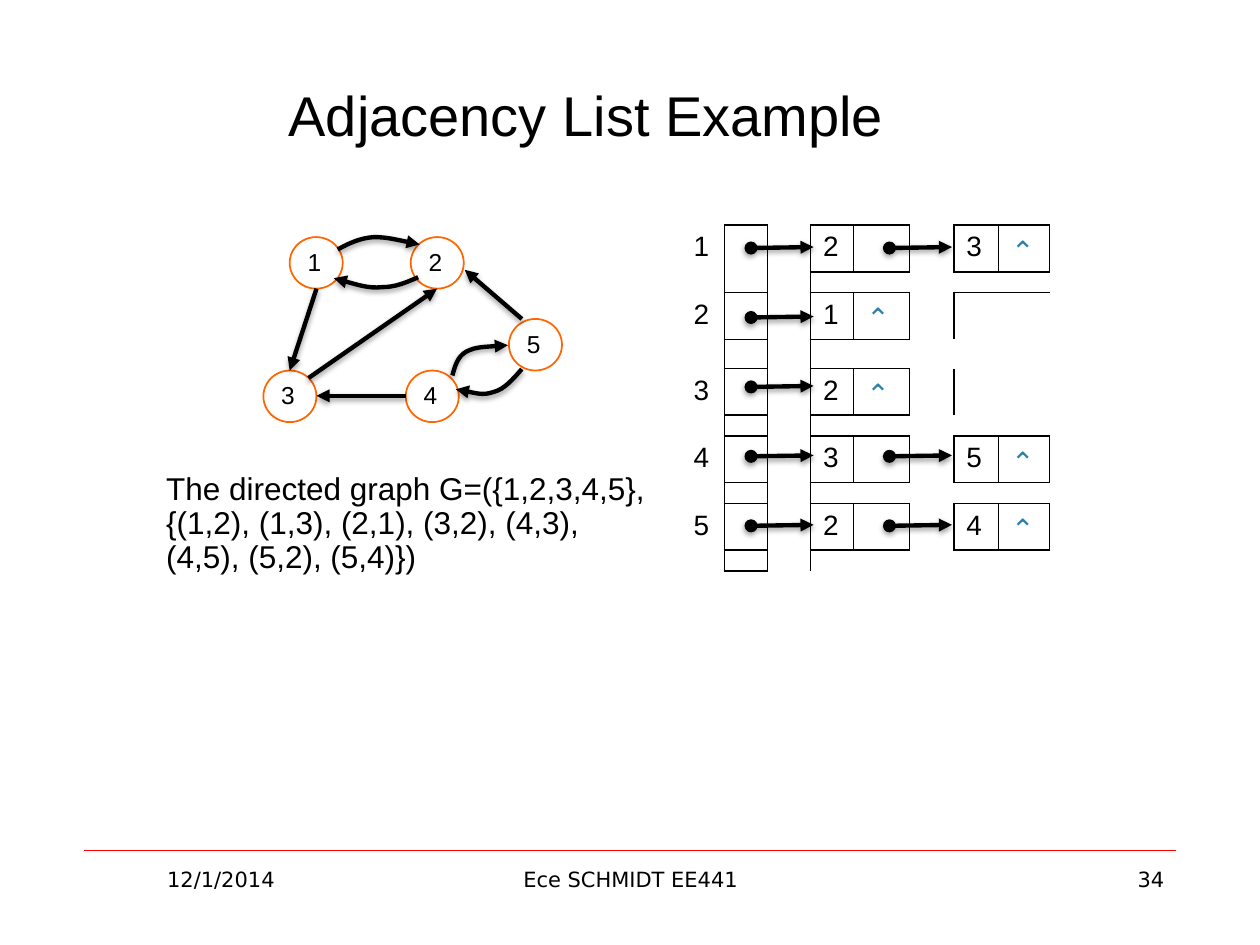
from lxml import etree
from pptx import Presentation
from pptx import util as u
from pptx.dml.color import RGBColor
from pptx.enum import shapes, text
from pptx.oxml import ns, parse_xml

BLACK, WHITE, ORANGE, RED, BLUE = "000000", "FFFFFF", "FF6600", "FF0000", "2C80AB"
NO_TABLE_STYLE = "{2D5ABB26-0587-4C30-8999-92F81FD0307C}"
ADJACENCY = {"1": "23", "2": "1", "3": "2", "4": "35", "5": "24"}
OPPOSITE = {"L": (0, -1, "R"), "R": (0, 1, "L"), "T": (-1, 0, "B"), "B": (1, 0, "T")}


def color(value):
    return RGBColor.from_string(value)


def cm(values):
    return [u.Cm(value) for value in values]


class Sketch:
    def __init__(self, page, font="Arial"):
        self.page, self.font = page, font

    def style(self, para, size, font=None, ink=BLACK):
        para.font.name, para.font.size = font or self.font, u.Pt(size)
        para.font.color.rgb = color(ink)

    def textbox(self, words, area, size, font=None, align="LEFT", anchor="TOP",
                spacing=None, inset=True):
        frame = self.page.shapes.add_textbox(*cm(area)).text_frame
        frame.word_wrap = True
        frame.vertical_anchor = text.MSO_ANCHOR[anchor]
        if not inset:
            frame.margin_left = frame.margin_right = 0
            frame.margin_top = frame.margin_bottom = 0
        para = frame.paragraphs[0]
        para.text, para.alignment = words, text.PP_ALIGN[align]
        para.line_spacing = spacing
        self.style(para, size, font)

    def node(self, label, left, top):
        disc = self.page.shapes.add_shape(
            shapes.MSO_SHAPE.OVAL, *cm((left, top, 1.07, 1.04)))
        disc.shadow.inherit = False
        disc.fill.solid()
        disc.fill.fore_color.rgb = color(WHITE)
        disc.line.color.rgb, disc.line.width = color(ORANGE), u.Pt(1)
        self.textbox(label, (left + 0.36, top + 0.2, 0.53, 0.61), 14, inset=False)

    def rule(self, start, end, ink, width):
        line = self.page.shapes.add_connector(
            shapes.MSO_CONNECTOR.STRAIGHT, *cm((*start, *end)))
        line.line.color.rgb, line.line.width = color(ink), u.Pt(width)
        etree.SubElement(line._element.spPr, ns.qn("a:effectLst"))
        return line

    def finish_arrow(self, shape, head=None):
        """Add the arrowheads and the soft shadow below."""
        shape.line.color.rgb, shape.line.width = color(BLACK), u.Pt(2.5)
        properties = shape._element.spPr
        outline = properties.find(ns.qn("a:ln"))
        if head:
            etree.SubElement(outline, ns.qn("a:headEnd"), type=head)
        etree.SubElement(outline, ns.qn("a:tailEnd"), type="triangle")
        properties.find(ns.qn("a:effectLst")).append(parse_xml(
            f'<a:outerShdw {ns.nsdecls("a")} blurRad="40000" dist="20000" dir="5400000" '
            'rotWithShape="0"><a:srgbClr val="000000"><a:alpha val="38000"/>'
            '</a:srgbClr></a:outerShdw>'))

    def arrow(self, start, end, head=None):
        self.finish_arrow(self.rule(start, end, BLACK, 2.5), head)

    def curved_arrow(self, start, *points):
        """Draw Bézier segments; each takes two control points and an end."""
        builder = self.page.shapes.build_freeform(*cm(start))
        builder.add_line_segments([cm(point) for point in points], close=False)
        shape = builder.convert_to_shape()
        shape.fill.background()
        shape.shadow.inherit = False
        steps = list(shape._element.iter(ns.qn("a:lnTo")))
        for first in range(0, len(steps), 3):
            bend = etree.Element(ns.qn("a:cubicBezTo"))
            steps[first].addprevious(bend)
            for step in steps[first:first + 3]:
                bend.append(step[0])
                step.getparent().remove(step)
        self.finish_arrow(shape)

    def table(self, left, top, widths, heights, labels, sides):
        frame = self.page.shapes.add_table(
            len(heights), len(widths), *cm((left, top, sum(widths), sum(heights))))
        grid = frame.table
        grid.first_row = grid.horz_banding = False
        grid._tbl.tblPr.find(ns.qn("a:tableStyleId")).text = NO_TABLE_STYLE
        for column, width in zip(grid.columns, widths):
            column.width = u.Cm(width)
        for row, height in enumerate(heights):
            grid.rows[row].height = u.Cm(height)
            for column in range(len(widths)):
                self.cell(grid.cell(row, column), (row, column), labels, sides)

    def cell(self, cell, place, labels, sides):
        row, column = place
        properties = cell._tc.get_or_add_tcPr()
        for side, (down, across, other) in OPPOSITE.items():
            neighbour = sides.get((row + down, column + across), "")
            if side in sides.get(place, "") or other in neighbour:
                properties.append(parse_xml(
                    f'<a:ln{side} {ns.nsdecls("a")} w="12700"><a:solidFill>'
                    f'<a:srgbClr val="{BLACK}"/></a:solidFill></a:ln{side}>'))
        if place in sides:
            cell.fill.solid()
            cell.fill.fore_color.rgb = color(WHITE)
        else:
            cell.fill.background()
        para = cell.text_frame.paragraphs[0]
        if place in labels:
            para.text = labels[place]
            if para.text == "⌃":
                self.style(para, 16, "Open Sans", BLUE)
            else:
                self.style(para, 16)
        else:
            cell.margin_top = cell.margin_bottom = 0
            para._p.get_or_add_endParaRPr().set("sz", "400")


def draw_graph(sketch):
    places = [(5.84, 4.78), (8.28, 4.78), (5.31, 7.47), (8.18, 7.47), (10.26, 6.43)]
    for label, place in zip(ADJACENCY, places):
        sketch.node(label, *place)
    curves = [
        [(6.81, 5.03), (7.04, 4.9), (7.26, 4.8), (7.54, 4.78),
         (7.8, 4.78), (8.46, 4.93), (8.46, 4.93)],
        [(8.43, 5.59), (8.2, 5.69), (7.98, 5.79), (7.7, 5.79),
         (7.42, 5.82), (6.73, 5.61), (6.73, 5.61)],
        [(9.12, 7.57), (9.17, 7.39), (9.22, 7.19), (9.4, 7.09),
         (9.58, 6.99), (10.24, 6.96), (10.24, 6.96)],
        [(10.52, 7.44), (10.34, 7.65), (10.16, 7.85), (9.96, 7.9),
         (9.73, 7.98), (9.19, 7.85), (9.19, 7.85)],
    ]
    for curve in curves:
        sketch.curved_arrow(*curve)
    for start, end in [((6.38, 5.82), (5.84, 7.47)), ((10.52, 6.43), (9.37, 5.44)),
                       ((6.22, 7.62), (8.81, 5.82)), ((8.18, 7.98), (6.38, 7.98))]:
        sketch.arrow(start, end)


def draw_lists(sketch):
    labels, sides, links = {}, {}, []
    for index, (vertex, neighbours) in enumerate(ADJACENCY.items()):
        row, y = 2 * index, 5 + 1.4 * index
        labels[row, 0] = vertex
        sides[row, 1], sides[row + 1, 1] = "LTR", "LRB"
        for order, neighbour in enumerate(neighbours):
            column = 3 + 3 * order
            labels[row, column] = neighbour
            sides[row, column] = sides[row, column + 1] = "LTRB"
            x = 15.14 + 2.79 * order
            links.append(((x, y), (x + 1.26, y - 0.02)))
        labels[row, column + 1] = "⌃"
    widths = [0.87] * 4 + [1.13, 0.89, 0.9, 1.03]
    heights = [0.94, 0.42] * 5
    heights[3] = 0.59
    sketch.table(13.73, 4.54, widths, heights, labels, sides)
    for start, end in links:
        sketch.arrow(start, end, head="oval")


def main():
    deck = Presentation()
    deck.slide_width, deck.slide_height = u.Cm(25.4), u.Cm(19.05)
    sketch = Sketch(deck.slides.add_slide(deck.slide_layouts[6]))
    sketch.rule((1.7, 17.15), (23.7, 17.15), RED, 0.25)
    sketch.textbox("Adjacency List Example", (2.51, 1.02, 18.62, 2.74), 32,
                   align="CENTER", anchor="MIDDLE", spacing=0.9)
    draw_graph(sketch)
    draw_lists(sketch)
    sketch.textbox("The directed graph G=({1,2,3,4,5},{(1,2), (1,3), (2,1), (3,2), "
                   "(4,3), (4,5), (5,2), (5,4)})", (3.1, 9.42, 10.16, 2.34), 18, spacing=0.9)
    for words, left, width, align in [("34", 18.21, 5.51, "RIGHT"),
                                      ("12/1/2014", 1.7, 5.51, "CENTER"),
                                      ("Ece SCHMIDT EE441", 8.69, 8.05, "CENTER")]:
        sketch.textbox(words, (left, 17.35, width, 1.32), 12, "DejaVu Sans", align)
    deck.save("out.pptx")


if __name__ == "__main__":
    main()
